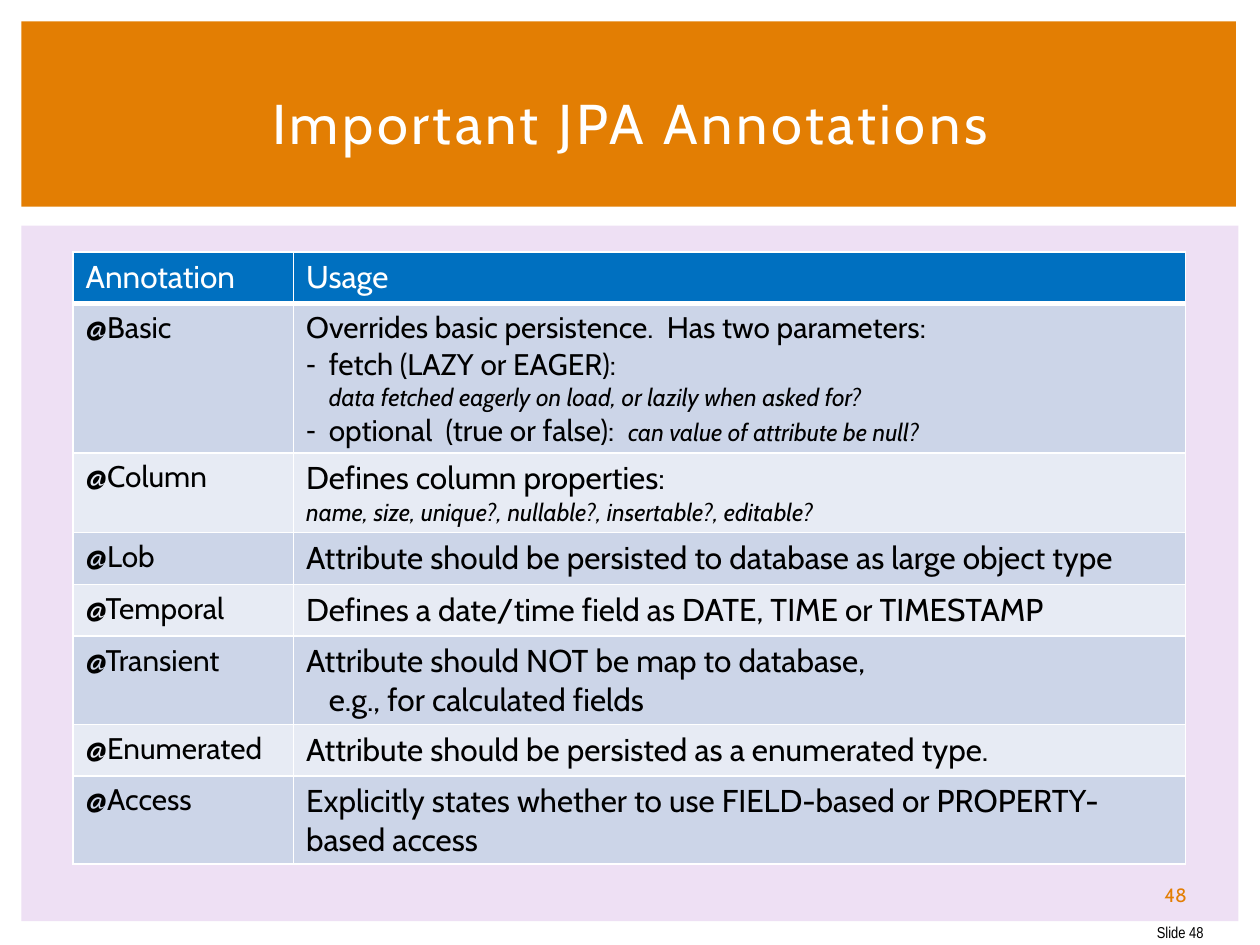
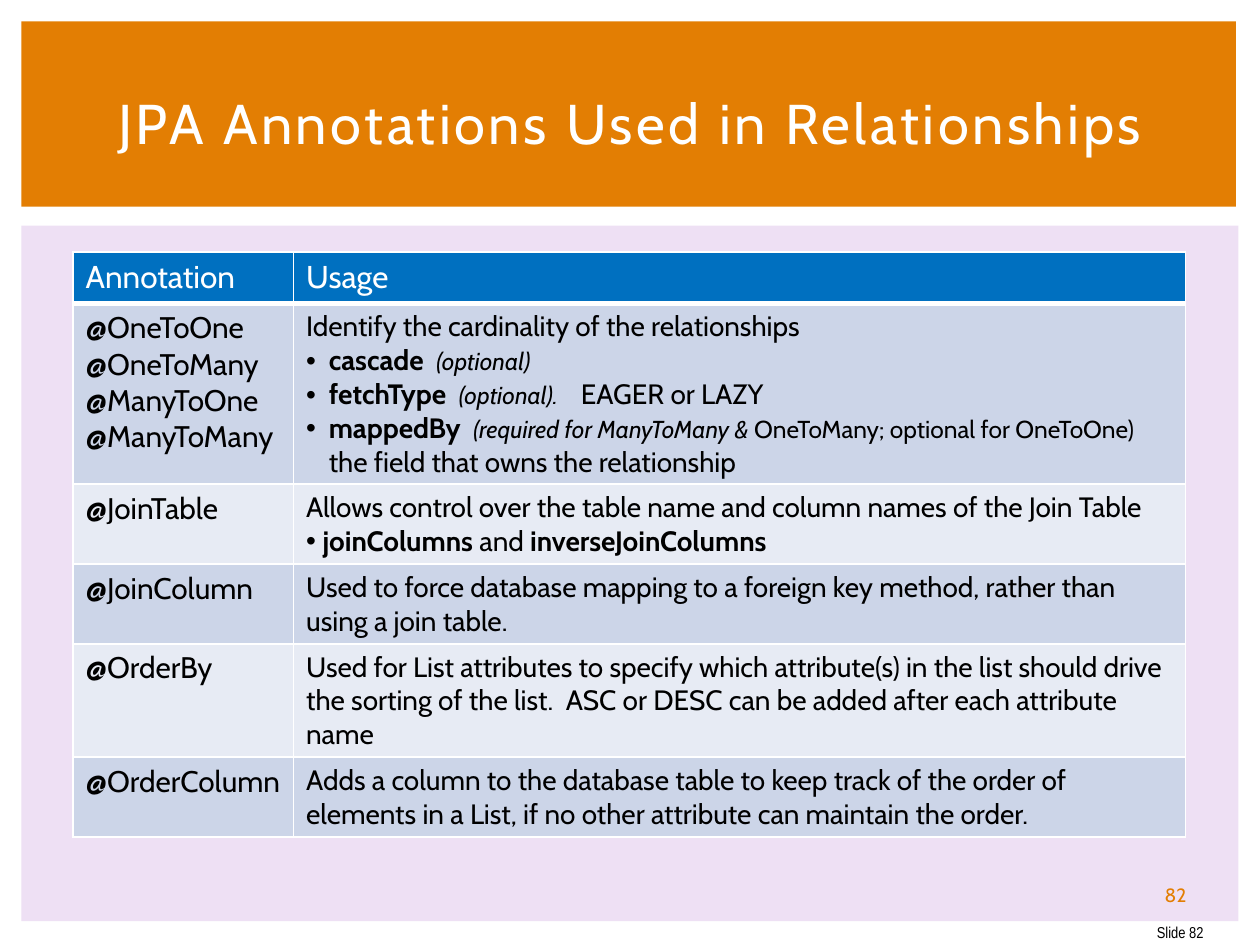
"""Build two slides of JPA annotation reference tables."""
from pptx import Presentation
from pptx.dml.color import RGBColor as RGB
from pptx.enum.shapes import MSO_SHAPE as SHAPE
from pptx.enum.text import MSO_ANCHOR as ANCHOR, MSO_AUTO_SIZE as AUTO, PP_ALIGN as ALIGN
from pptx.oxml.ns import qn
from pptx.util import Inches, Pt
from lxml.etree import SubElement

COLORS = {"orange": "E37E03", "lilac": "EEE0F4", "blue": "0070C0", "dark_row": "CCD5E8",
          "light_row": "E7EBF4", "white": "FFFFFF", "black": "000000"}
BANDS = [((0.17, 1.79, 9.66, 5.52), "lilac"), ((0.17, 0.17, 9.64, 1.47), "orange")]
COL_WIDTHS = (1.75, 7.08)
ROW_HEIGHT = 0.41
BORDERS = ("a:lnL", "a:lnR", "a:lnT", "a:lnB")

BIG, MID, SMALL = {"size": 18}, {"size": 17}, {"size": 16}
STRONG = {"size": 16, "bold": True}
NOTE, ASIDE = {"size": 14, "italic": True}, {"size": 14}

# fmt: off
SLIDES = [
    (48, "Important JPA Annotations", [
        (["@Basic"], [
            ("", 0, [("Overrides basic persistence.  Has two parameters:", MID)]),
            ("-", 0.18, [("fetch (LAZY or EAGER):", MID), ("\n", MID),
                         ("data fetched eagerly on load, or lazily when asked for?", NOTE)]),
            ("-", 0.18, [("optional  (true or false):  ", MID),
                         ("can value of attribute be null?", NOTE)])]),
        (["@Column"], [
            ("", 0, [("Defines column properties:", BIG)]),
            ("", 0, [("name, size, unique?, nullable?, insertable?, editable?", NOTE)])]),
        (["@Lob"], [
            ("", 0, [("Attribute should be persisted to database as large object type", BIG)])]),
        (["@Temporal"], [
            ("", 0, [("Defines a date/time field as DATE, TIME or TIMESTAMP", BIG)])]),
        (["@Transient"], [
            ("", 0, [("Attribute should NOT be map to database,", BIG)]),
            ("", 0.18, [("e.g., for calculated fields", BIG)])]),
        (["@Enumerated"], [
            ("", 0, [("Attribute should be persisted as a enumerated type.", BIG)])]),
        (["@Access"], [
            ("", 0, [("Explicitly states whether to use FIELD-based or "
                      "PROPERTY-based access", BIG)])]),
    ]),
    (82, "JPA Annotations Used in Relationships", [
        (["@OneToOne", "@OneToMany", "@ManyToOne", "@ManyToMany"], [
            ("", 0, [("Identify the cardinality of the relationships", SMALL)]),
            ("•", 0.18, [("cascade  ", STRONG), ("(optional)", NOTE)]),
            ("•", 0.18, [("fetchType  ", STRONG), ("(optional).\t", NOTE),
                         ("EAGER or LAZY", SMALL)]),
            ("•", 0.18, [("mappedBy  ", STRONG), ("(required for ManyToMany & ", NOTE),
                         ("OneToMany; optional for OneToOne)", ASIDE)]),
            ("", 0.18, [("the field that owns the relationship", SMALL)])]),
        (["@JoinTable"], [
            ("", 0, [("Allows control over the table name and column names "
                      "of the Join Table", SMALL)]),
            ("•", 0.13, [("joinColumns", STRONG), (" and ", SMALL),
                         ("inverseJoinColumns", STRONG)])]),
        (["@JoinColumn"], [
            ("", 0, [("Used to force database mapping to a foreign key method, "
                      "rather than using a join table.", SMALL)])]),
        (["@OrderBy"], [
            ("", 0, [("Used for List attributes to specify which attribute(s) in the list "
                      "should drive the sorting of the list.  ASC or DESC can be added "
                      "after each attribute name", SMALL)])]),
        (["@OrderColumn"], [
            ("", 0, [("Adds a column to the database table to keep track of the order of "
                      "elements in a List, if no other attribute can maintain the order.",
                      SMALL)])]),
    ]),
]
# fmt: on


def write(p, text, size=18, color="black", font="Cabin", bold=False, italic=False,
          align=None, spacing=0):
    if align is not None:
        p.alignment = align
    if text == "\n":
        p.add_line_break()
        return
    r = p.add_run()
    r.text = text
    r.font.name, r.font.size = font, Pt(size)
    r.font.bold, r.font.italic = bold, italic
    r.font.color.rgb = RGB.from_string(COLORS[color])
    if spacing:
        r.font._element.set("spc", str(spacing * 100))


def style_cell(cell, fill, bottom=1):
    tcPr = cell._tc.get_or_add_tcPr()
    for tag in BORDERS:
        width = bottom if tag == "a:lnB" else 1
        ln = SubElement(tcPr, qn(tag), w=str(Pt(width)))
        SubElement(SubElement(ln, qn("a:solidFill")), qn("a:srgbClr"), val=COLORS["white"])
    cell.fill.solid()
    cell.fill.fore_color.rgb = RGB.from_string(COLORS[fill])


prs = Presentation()
prs.slide_width, prs.slide_height = Inches(10), Inches(7.5)

for number, heading, rows in SLIDES:
    s = prs.slides.add_slide(prs.slide_layouts[5])

    for box, color in BANDS:
        sp = s.shapes.add_shape(SHAPE.RECTANGLE, *map(Inches, box))
        sp.shadow.inherit = False
        sp.fill.solid()
        sp.fill.fore_color.rgb = RGB.from_string(COLORS[color])
        sp.line.fill.background()

    title = s.shapes.title
    title.left, title.top, title.width, title.height = map(Inches, (0.42, 0.39, 9.17, 1.15))
    tf = title.text_frame
    tf.word_wrap, tf.auto_size, tf.vertical_anchor = True, AUTO.NONE, ANCHOR.MIDDLE
    write(tf.paragraphs[0], heading, size=32, color="white", align=ALIGN.CENTER, spacing=2)
    s.shapes.element.append(title.element)

    for top, text, fmt in (
        (7.25, f"Slide {number}", {"size": 9, "font": "Arial Narrow", "align": ALIGN.RIGHT}),
        (6.95, str(number), {"size": 11, "color": "orange", "align": ALIGN.CENTER}),
    ):
        tf = s.shapes.add_textbox(Inches(9.01), Inches(top), Inches(0.64), Inches(0.3)).text_frame
        tf.word_wrap, tf.vertical_anchor = True, ANCHOR.MIDDLE
        write(tf.paragraphs[0], text, **fmt)

    count = len(rows) + 1
    table = s.shapes.add_table(count, 2, Inches(0.58), Inches(2), Inches(sum(COL_WIDTHS)),
                               Inches(ROW_HEIGHT * count)).table
    table.horz_banding = False
    for column, width in zip(table.columns, COL_WIDTHS):
        column.width = Inches(width)
    for row in table.rows:
        row.height = Inches(ROW_HEIGHT)

    for col, text in enumerate(("Annotation", "Usage")):
        cell = table.cell(0, col)
        style_cell(cell, "blue", bottom=3)
        write(cell.text_frame.paragraphs[0], text, color="white")

    for i, (names, usage) in enumerate(rows, start=1):
        labels = [("", 0, [(name, MID)]) for name in names]
        for col, paragraphs in enumerate((labels, usage)):
            cell = table.cell(i, col)
            style_cell(cell, "dark_row" if i % 2 else "light_row")
            tf = cell.text_frame
            for j, (bullet, indent, runs) in enumerate(paragraphs):
                p = tf.add_paragraph() if j else tf.paragraphs[0]
                pPr = p._p.get_or_add_pPr()
                if indent:
                    pPr.set("marL", str(Inches(indent)))
                    pPr.set("indent", str(-Inches(indent) if bullet else 0))
                if bullet:
                    SubElement(pPr, qn("a:buFont"), typeface="Arial")
                    SubElement(pPr, qn("a:buChar"), char=bullet)
                if any("\t" in text for text, _ in runs):
                    tabs = SubElement(pPr, qn("a:tabLst"))
                    SubElement(tabs, qn("a:tab"), pos=str(Inches(2.18)), algn="l")
                for text, fmt in runs:
                    write(p, text, **fmt)

prs.save("out.pptx")
